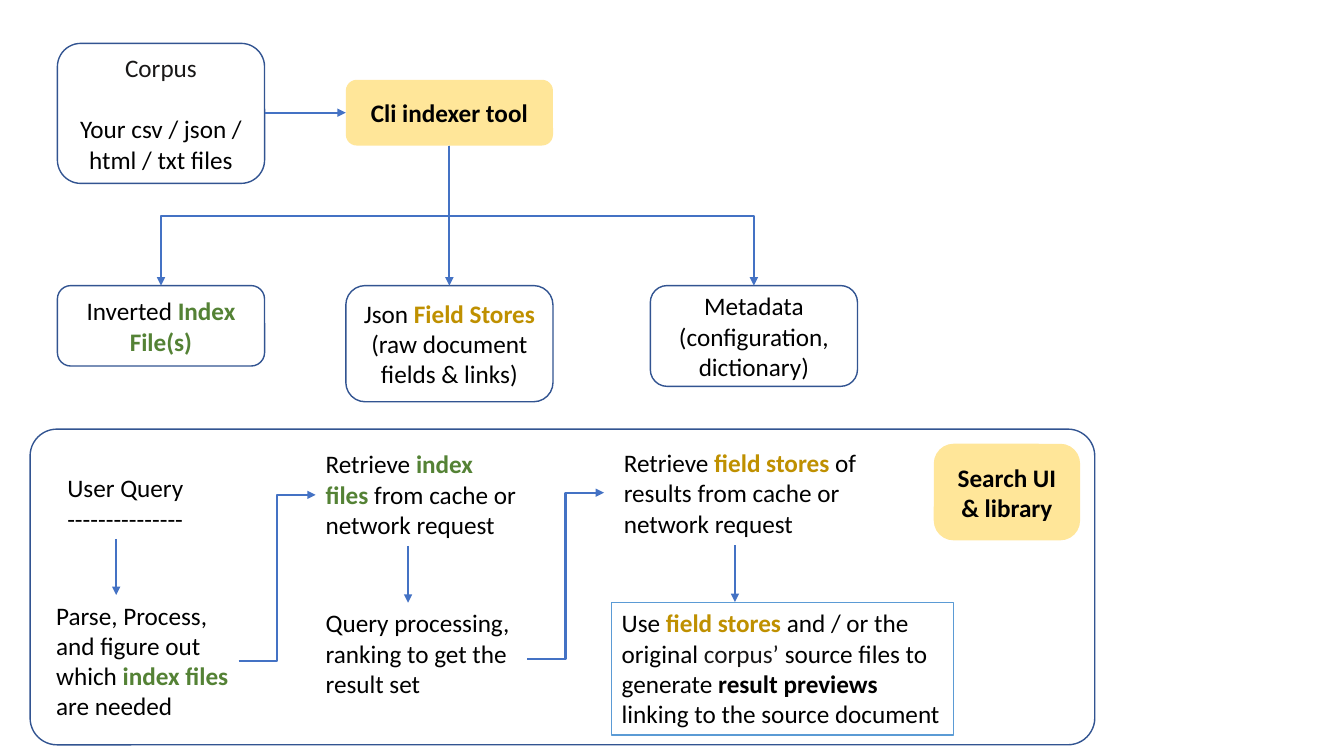
from lxml.etree import SubElement
from pptx import Presentation
from pptx.dml.color import RGBColor
from pptx.enum.shapes import MSO_CONNECTOR as Link, MSO_SHAPE as Form
from pptx.enum.text import MSO_ANCHOR as Anchor, PP_ALIGN as Align
from pptx.oxml.ns import qn
from pptx.util import Pt

COLORS = {
    "text": "000000", "soft": "181717", "index": "548235", "store": "BF9000",
    "tool": "FFE699", "outline": "325491", "preview": "5B9BD5", "arrow": "4472C4",
}


def rgb(name):
    return RGBColor.from_string(COLORS[name])


def write(frame, paragraphs, align=Align.LEFT, anchor=Anchor.TOP, bold=False, gap=0):
    frame.word_wrap = True
    frame.vertical_anchor = anchor
    for number, pieces in enumerate(paragraphs):
        paragraph = frame.add_paragraph() if number else frame.paragraphs[0]
        paragraph.alignment = align
        paragraph.space_before = Pt(gap if number else 0)
        for piece in [pieces] if isinstance(pieces, str) else pieces:
            words, color = (piece, "text") if isinstance(piece, str) else piece
            run = paragraph.add_run()
            run.text = words
            run.font.name = "Calibri"
            run.font.size = Pt(18)
            run.font.bold = bold or color in ("index", "store", "strong")
            run.font.color.rgb = rgb("text" if color == "strong" else color)


class Diagram:
    def __init__(self, slide):
        self.shapes = slide.shapes

    def box(self, at, paragraphs=(), fill=None, line="outline",
            form=Form.ROUNDED_RECTANGLE, rounding=None, **style):
        shape = self.shapes.add_shape(form, *map(Pt, at))
        shape.shadow.inherit = False
        if rounding:
            shape.adjustments[0] = rounding
        if fill:
            shape.fill.solid()
            shape.fill.fore_color.rgb = rgb(fill)
            shape.line.fill.background()
        else:
            shape.fill.background()
            shape.line.color.rgb = rgb(line)
            shape.line.width = Pt(1)
        style = {"align": Align.CENTER, "anchor": Anchor.MIDDLE} | style
        write(shape.text_frame, paragraphs, **style)

    def note(self, at, paragraphs):
        write(self.shapes.add_textbox(*map(Pt, at)).text_frame, paragraphs)

    def arrow(self, start, end, kind=Link.STRAIGHT):
        connector = self.shapes.add_connector(kind, *map(Pt, (*start, *end)))
        connector.line.color.rgb = rgb("arrow")
        connector.line.width = Pt(1.5)
        properties = connector._element.spPr
        SubElement(properties.find(qn("a:ln")), qn("a:tailEnd"), type="triangle")
        SubElement(properties, qn("a:effectLst"))
        return connector

    def branch(self, start, end):
        (x1, y1), (x2, y2) = start, end
        middle_x, middle_y = (x1 + x2) / 2, (y1 + y2) / 2
        half_drop, half_span = (y2 - y1) / 2, abs(x2 - x1) / 2
        side = 1 if x2 < x1 else -1
        connector = self.arrow((middle_x - side * half_drop, middle_y - half_span),
                               (middle_x + side * half_drop, middle_y + half_span),
                               Link.ELBOW)
        connector._element.spPr.xfrm.set("rot", str((90 if side == 1 else 270) * 60000))


presentation = Presentation()
presentation.slide_width, presentation.slide_height = Pt(960), Pt(540)
diagram = Diagram(presentation.slides.add_slide(presentation.slide_layouts[6]))

NODE_WIDTH, OUTPUT_TOP = 148, 204
diagram.box((41, 31, NODE_WIDTH, 100),
            [[("Corpus", "soft")], "Your csv / json / html / txt files"], gap=22)
diagram.box((247, 57, NODE_WIDTH, 47), ["Cli indexer tool"], fill="tool", bold=True)
diagram.arrow((189, 80.5), (247, 80.5))

outputs = [
    (41, 57.5, [["Inverted ", ("Index", "index")], [("File(s)", "index")]]),
    (247, 83, [["Json ", ("Field Stores", "store")], "(raw document fields & links)"]),
    (464.5, 72, ["Metadata", "(configuration, dictionary)"]),
]
indexer_exit = (247 + NODE_WIDTH / 2, 104)
for left, height, label in outputs:
    diagram.box((left, OUTPUT_TOP, NODE_WIDTH, height), label)
    output_entry = (left + NODE_WIDTH / 2, OUTPUT_TOP)
    draw = diagram.arrow if output_entry[0] == indexer_exit[0] else diagram.branch
    draw(indexer_exit, output_entry)

diagram.box((21.5, 306.5, 760.5, 225.5), rounding=0.085)
diagram.box((667, 317, 104.5, 69), ["Search UI & library"], fill="tool",
            rounding=0.205, bold=True)

steps = [
    ((41, 334, 102, 51), ["User Query", "---------------"]),
    ((33, 425, 138, 94.5), [["Parse, Process, and figure out which ",
                             ("index files ", "index"), "are needed"]]),
    ((225.5, 317, 186, 72.5), [["Retrieve ", ("index", "index")],
                               [("files", "index"), " from cache or network request"]]),
    ((225.5, 430.5, 156, 72.5), ["Query processing, ranking to get the result set"]),
    ((438.5, 316, 209.5, 72.5), [["Retrieve ", ("field stores ", "store"),
                                  "of results from cache or network request"]]),
]
for at, wording in steps:
    diagram.note(at, wording)
diagram.box((437, 430.5, 244, 94.5),
            [["Use ", ("field stores ", "store"), "and / or the original ",
              ("corpus’ ", "soft"), "source files to generate ",
              ("result previews ", "strong"), "linking to the source document"]],
            line="preview", form=Form.RECTANGLE, align=Align.LEFT, anchor=Anchor.TOP)

for x, top, bottom in [(83, 385, 425), (291.5, 390, 430.5), (525, 389.5, 430)]:
    diagram.arrow((x, top), (x, bottom))
for left, bottom in [(170.5, 472.5), (376.5, 471)]:
    diagram.arrow((left, bottom), (left + 55, bottom - 119), Link.ELBOW)

presentation.save("out.pptx")
